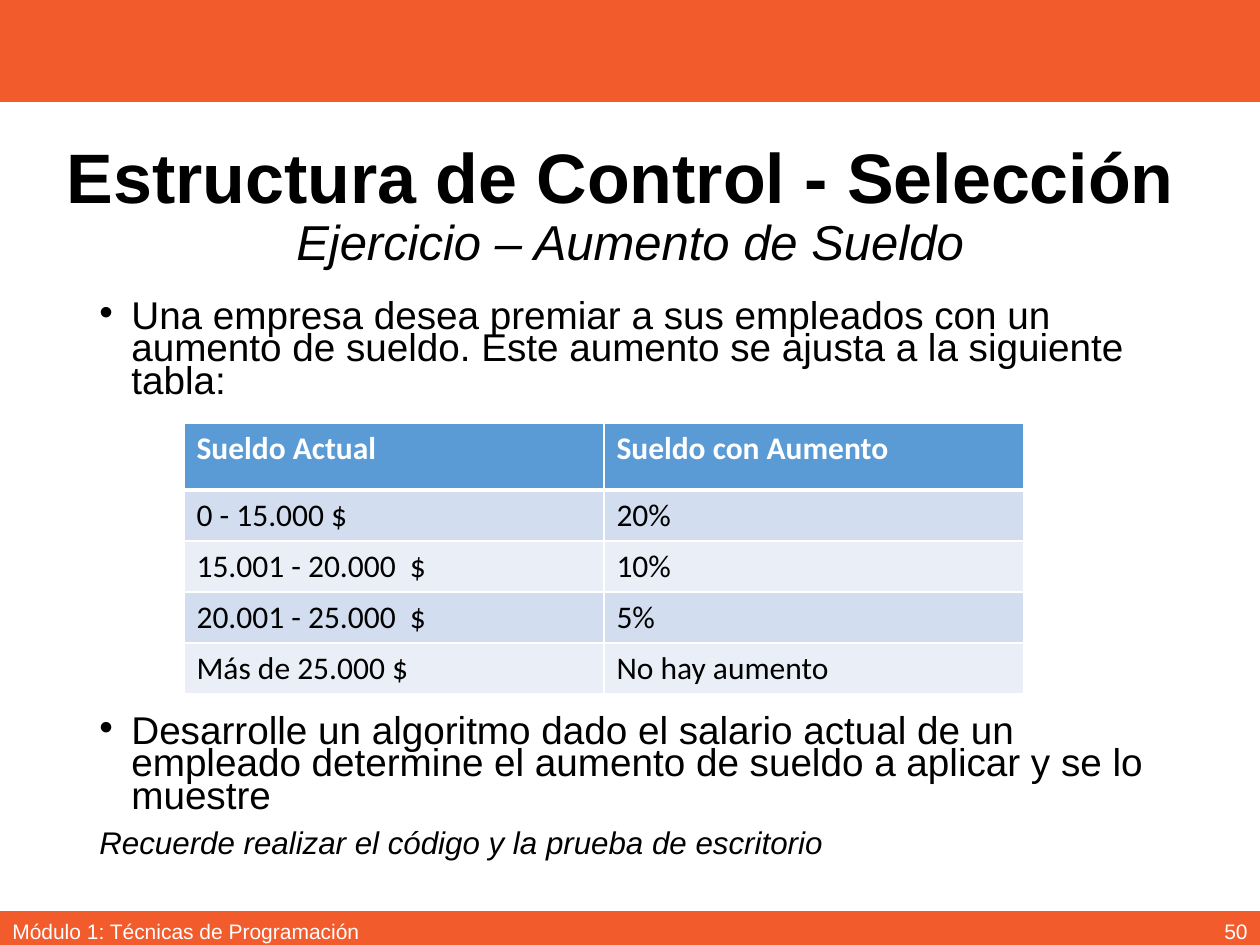
import lxml.etree
import pptx
import pptx.dml.color
import pptx.enum.shapes
import pptx.enum.text
import pptx.oxml.ns
import pptx.util

PX = 914400 / 126
COLORS = {"bar": "F25B2C", "head": "5B9BD5", "dark": "D2DEEF",
          "light": "EAEFF7", "white": "FFFFFF", "black": "000000"}
ALIGN = pptx.enum.text.PP_ALIGN
ANCHOR = pptx.enum.text.MSO_ANCHOR
qn = pptx.oxml.ns.qn


def px(*nums):
    return [pptx.util.Emu(round(n * PX)) for n in nums]


def style(font, size, color="black", name="Arial", bold=False, italic=False):
    font.size = pptx.util.Pt(size)
    font.name = name
    font.bold = bold
    font.italic = italic
    font.color.rgb = pptx.dml.color.RGBColor.from_string(COLORS[color])


deck = pptx.Presentation()
deck.slide_width, deck.slide_height = px(1260, 945)
slide = deck.slides.add_slide(deck.slide_layouts[6])
shapes = slide.shapes

# Top and bottom bars
for top, high in [(0, 102), (911, 34)]:
    bar = shapes.add_shape(pptx.enum.shapes.MSO_SHAPE.RECTANGLE,
                           *px(0, top, 1260, high))
    bar.shadow.inherit = False
    bar.fill.solid()
    bar.fill.fore_color.rgb = pptx.dml.color.RGBColor.from_string(COLORS["bar"])
    bar.line.fill.background()

# Title and subtitle
frame = shapes.add_textbox(*px(0, 123, 1260, 168)).text_frame
frame.word_wrap = True
frame.vertical_anchor = ANCHOR.MIDDLE
para = frame.paragraphs[0]
para.alignment = ALIGN.CENTER
para.line_spacing = 0.9
run = para.add_run()
run.text = "Estructura de Control - Selección "
style(run.font, 40, bold=True)
para.add_line_break()
run = para.add_run()
run.text = "Ejercicio – Aumento de Sueldo"
style(run.font, 28, italic=True)

# Body text above and below the table: (text, size, bulleted)
blocks = [
    (297, 120, [("Una empresa desea premiar a sus empleados con un aumento de "
                 "sueldo. Este aumento se ajusta a la siguiente tabla:",
                 22.1, True)]),
    (712, 180, [("Desarrolle un algoritmo dado el salario actual de un empleado "
                 "determine el aumento de sueldo a aplicar y se lo muestre",
                 22.1, True),
                ("Recuerde realizar el código y la prueba de escritorio",
                 17.9, False)]),
]
for top, high, items in blocks:
    frame = shapes.add_textbox(*px(87, top, 1086, high)).text_frame
    frame.word_wrap = True
    for i, (text, size, mark) in enumerate(items):
        para = frame.add_paragraph() if i else frame.paragraphs[0]
        para.text = text
        para.line_spacing = 0.7
        para.space_before = pptx.util.Pt(10 if i else 0)
        props = para._p.get_or_add_pPr()
        dent, = px(32)
        props.set("marL", str(dent))
        props.set("indent", str(-dent))
        if mark:
            lxml.etree.SubElement(props, qn("a:buFont"), typeface="Arial")
            lxml.etree.SubElement(props, qn("a:buChar"), char="•")
        style(para.font, size, italic=not mark)

# Footer
for left, wide, text, align in [
        (0, 426, "Módulo 1: Técnicas de Programación", ALIGN.LEFT),
        (977, 283, "50", ALIGN.RIGHT)]:
    frame = shapes.add_textbox(*px(left, 906, wide, 50)).text_frame
    frame.word_wrap = True
    frame.vertical_anchor = ANCHOR.MIDDLE
    para = frame.paragraphs[0]
    para.text = text
    para.alignment = align
    style(para.font, 12, "white")

# Salary table
rows = [
    ("Sueldo Actual", "Sueldo con Aumento"),
    ("0 - 15.000 $", "20%"),
    ("15.001 - 20.000  $", "10%"),
    ("20.001 - 25.000  $", "5%"),
    ("Más de 25.000 $", "No hay aumento"),
]
table = shapes.add_table(len(rows), 2, *px(184, 423, 840, 271)).table
table.horz_banding = False
for col in table.columns:
    col.width, = px(420)
for r, texts in enumerate(rows):
    table.rows[r].height, = px(51 if r else 67)
    fill = ("dark" if r % 2 else "light") if r else "head"
    for c, text in enumerate(texts):
        cell = table.cell(r, c)
        cell.fill.solid()
        cell.fill.fore_color.rgb = pptx.dml.color.RGBColor.from_string(COLORS[fill])
        para = cell.text_frame.paragraphs[0]
        para.text = text
        style(para.font, 18, "black" if r else "white", "Calibri", bold=r == 0)
        props = cell._tc.get_or_add_tcPr()
        for i, side in enumerate("LRTB"):
            thick = (r, side) in [(0, "B"), (1, "T")]
            edge = lxml.etree.Element(qn("a:ln" + side),
                                      w=str(pptx.util.Pt(3 if thick else 1)))
            paint = lxml.etree.SubElement(edge, qn("a:solidFill"))
            lxml.etree.SubElement(paint, qn("a:srgbClr"), val=COLORS["white"])
            props.insert(i, edge)

deck.save("out.pptx")
